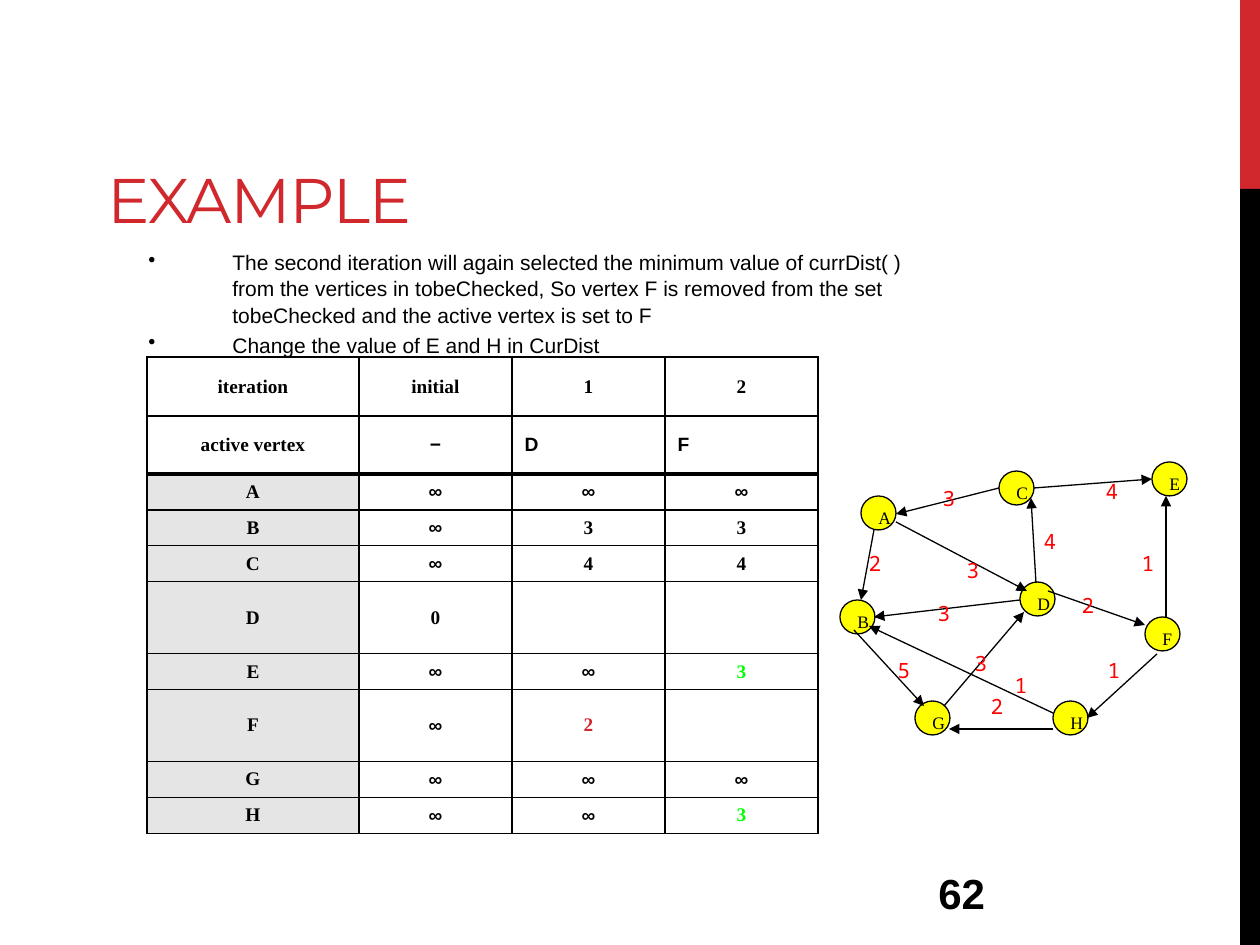
from lxml.etree import SubElement as Sub
from pptx import Presentation
from pptx.dml.color import RGBColor as RGB
from pptx.enum.shapes import MSO_CONNECTOR as CON, MSO_SHAPE as SHAPE
from pptx.enum.text import MSO_ANCHOR as ANCHOR, PP_ALIGN as ALIGN
from pptx.oxml import parse_xml
from pptx.oxml.ns import nsdecls, qn
from pptx.util import Emu, Pt

BLACK = RGB(0x00, 0x00, 0x00)
WHITE = RGB(0xFF, 0xFF, 0xFF)
BRAND = RGB(0xD1, 0x28, 0x2E)
RED = RGB(0xFF, 0x00, 0x00)
GREEN = RGB(0x00, 0xFF, 0x00)
GREY = RGB(0xE5, 0xE5, 0xE5)
YELLOW = RGB(0xFF, 0xFF, 0x00)

SERIF, SANS, MONO = "Times New Roman", "Arial", "Noto Sans Mono"
SCALE = 914400 / 126

BULLETS = [
    "The second iteration will again selected the minimum value of currDist( ) "
    "from the vertices in tobeChecked, So vertex F is removed from the set "
    "tobeChecked and the active vertex is set to F",
    "Change the value of E and H in CurDist",
]

COLS = [212, 153, 153, 153]
ROWS = [59, 58, 36, 35, 36, 72, 35, 72, 36, 36]
CELLS = [
    ["iteration", "initial", "1", "2"],
    ["active vertex", "−", "D", "F"],
    ["A", "∞", "∞", "∞"],
    ["B", "∞", "3", "3"],
    ["C", "∞", "4", "4"],
    ["D", "0", "", ""],
    ["E", "∞", "∞", "3"],
    ["F", "∞", "2", ""],
    ["G", "∞", "∞", "∞"],
    ["H", "∞", "∞", "3"],
]
MARKS = {(6, 3): GREEN, (7, 2): BRAND, (9, 3): GREEN}

# Left and top of each vertex
NODES = {
    "A": (861, 496), "C": (999, 471), "B": (840, 600), "D": (1020, 582),
    "E": (1152, 462), "F": (1145, 617), "G": (915, 701), "H": (1053, 701),
}
# Start, end, weight and centre of the weight for each edge
EDGES = [
    ((1053, 729), (949, 729), "2", (997, 706)),
    ((1157, 654), (1087, 718), "1", (1114, 670)),
    ((999, 488), (896, 514), "3", (949, 498)),
    ((874, 530), (861, 600), "2", (875, 563)),
    ((1048, 591), (1145, 625), "2", (1088, 605)),
    ((1166, 617), (1166, 496), "1", (1148, 563)),
    ((1020, 600), (874, 617), "3", (944, 613)),
    ((896, 522), (1027, 591), "3", (973, 570)),
    ((1034, 488), (1152, 479), "4", (1112, 491)),
    ((854, 630), (924, 706), "5", (904, 670)),
    ((1053, 713), (869, 626), "1", (1021, 685)),
    ((944, 706), (1024, 612), "3", (981, 663)),
    ((1036, 583), (1031, 498), "4", (1050, 541)),
]


def px(*vals):
    return [Emu(round(v * SCALE)) for v in vals]


def apply(obj, **fmt):
    for key, val in fmt.items():
        setattr(obj, key, val)


def write(para, text, color, **fmt):
    run = para.add_run()
    run.text = text
    apply(run.font, **fmt)
    run.font.color.rgb = color
    return run


def add_box(slide, *area, **fmt):
    frame = slide.shapes.add_textbox(*px(*area)).text_frame
    apply(frame, **{"word_wrap": True, **fmt})
    return frame


def add_form(slide, kind, area, color):
    form = slide.shapes.add_shape(kind, *px(*area))
    form.shadow.inherit = False
    form.fill.solid()
    form.fill.fore_color.rgb = color
    form.line.fill.background()
    return form


def add_node(slide, name, left, top):
    node = add_form(slide, SHAPE.OVAL, (left, top, 35, 34), YELLOW)
    node.line.color.rgb = BLACK
    node.line.width = Pt(0.75)
    frame = node.text_frame
    apply(frame, vertical_anchor=ANCHOR.TOP, word_wrap=True)
    para = frame.paragraphs[0]
    para.alignment = ALIGN.JUSTIFY
    write(para, name, BLACK, name=SERIF, size=Pt(10))


def add_edge(slide, start, end):
    edge = slide.shapes.add_connector(CON.STRAIGHT, *px(*start, *end))
    edge.line.color.rgb = BLACK
    edge.line.width = Pt(0.75)
    Sub(edge.line._get_or_add_ln(), qn("a:tailEnd"), type="triangle")
    Sub(edge._element.spPr, qn("a:effectLst"))


def add_weight(slide, text, x, y):
    frame = add_box(slide, x - 24, y - 14, 48, 28,
                    word_wrap=False, vertical_anchor=ANCHOR.MIDDLE)
    para = frame.paragraphs[0]
    para.alignment = ALIGN.CENTER
    write(para, text, RED, name=MONO, size=Pt(12))


def add_bullet(para, text, first):
    props = para._p.get_or_add_pPr()
    indent = px(84)[0]
    props.set("marL", str(indent))
    props.set("indent", str(-indent))
    Sub(props, qn("a:buChar"), char="•")
    apply(para, line_spacing=1.05, space_before=Pt(0 if first else 2))
    write(para, text, BLACK, name=SANS, size=Pt(12))


def set_edges(cell, row):
    props = cell._tc.get_or_add_tcPr()
    for spot, side in enumerate("LRTB"):
        heavy = (row, side) in ((1, "B"), (2, "T"))
        width = Pt(2 if heavy else 1)
        props.insert(spot, parse_xml(
            f'<a:ln{side} {nsdecls("a")} w="{width}"><a:solidFill>'
            f'<a:srgbClr val="{BLACK}"/></a:solidFill></a:ln{side}>'))


def fill_cell(cell, text, row, col):
    if row < 2 or col == 0:
        cell.fill.solid()
        cell.fill.fore_color.rgb = WHITE if row < 2 else GREY
    else:
        cell.fill.background()
    set_edges(cell, row)
    cell.vertical_anchor = ANCHOR.MIDDLE
    if text:
        active = row == 1 and col > 1
        para = cell.text_frame.paragraphs[0]
        para.alignment = ALIGN.LEFT if active else ALIGN.CENTER
        face = SANS if active or text in "∞−" else SERIF
        write(para, text, MARKS.get((row, col), BLACK),
              name=face, size=Pt(11), bold=True)


def add_grid(slide, left, top):
    area = px(left, top, sum(COLS), sum(ROWS))
    grid = slide.shapes.add_table(len(ROWS), len(COLS), *area).table
    apply(grid, first_row=False, horz_banding=False)
    for col, width in zip(grid.columns, px(*COLS)):
        col.width = width
    for row, height in zip(grid.rows, px(*ROWS)):
        row.height = height
    for row, line in enumerate(CELLS):
        for col, text in enumerate(line):
            fill_cell(grid.cell(row, col), text, row, col)


def main():
    deck = Presentation()
    deck.slide_width, deck.slide_height = px(1260, 945)
    slide = deck.slides.add_slide(deck.slide_layouts[6])

    # Side band
    add_form(slide, SHAPE.RECTANGLE, (1240, 0, 20, 189), BRAND)
    add_form(slide, SHAPE.RECTANGLE, (1240, 189, 20, 756), BLACK)

    # Title
    frame = add_box(slide, 95, 21, 946, 221, vertical_anchor=ANCHOR.BOTTOM)
    run = write(frame.paragraphs[0], "EXAMPLE", BRAND,
                name="Montserrat", size=Pt(36))
    run.font._element.set("spc", "-60")

    # Distance table
    add_grid(slide, 147, 357)

    # Page number
    frame = add_box(slide, 926, 861, 262, 63, vertical_anchor=ANCHOR.MIDDLE)
    write(frame.paragraphs[0], "62", BLACK, name=SANS, size=Pt(24), bold=True)

    # Graph
    for name, spot in NODES.items():
        add_node(slide, name, *spot)
    for start, end, weight, spot in EDGES:
        add_edge(slide, start, end)
        add_weight(slide, weight, *spot)

    # Explanation
    frame = add_box(slide, 136, 242, 788, 95)
    for i, text in enumerate(BULLETS):
        para = frame.add_paragraph() if i else frame.paragraphs[0]
        add_bullet(para, text, i == 0)

    deck.save("out.pptx")


if __name__ == "__main__":
    main()
